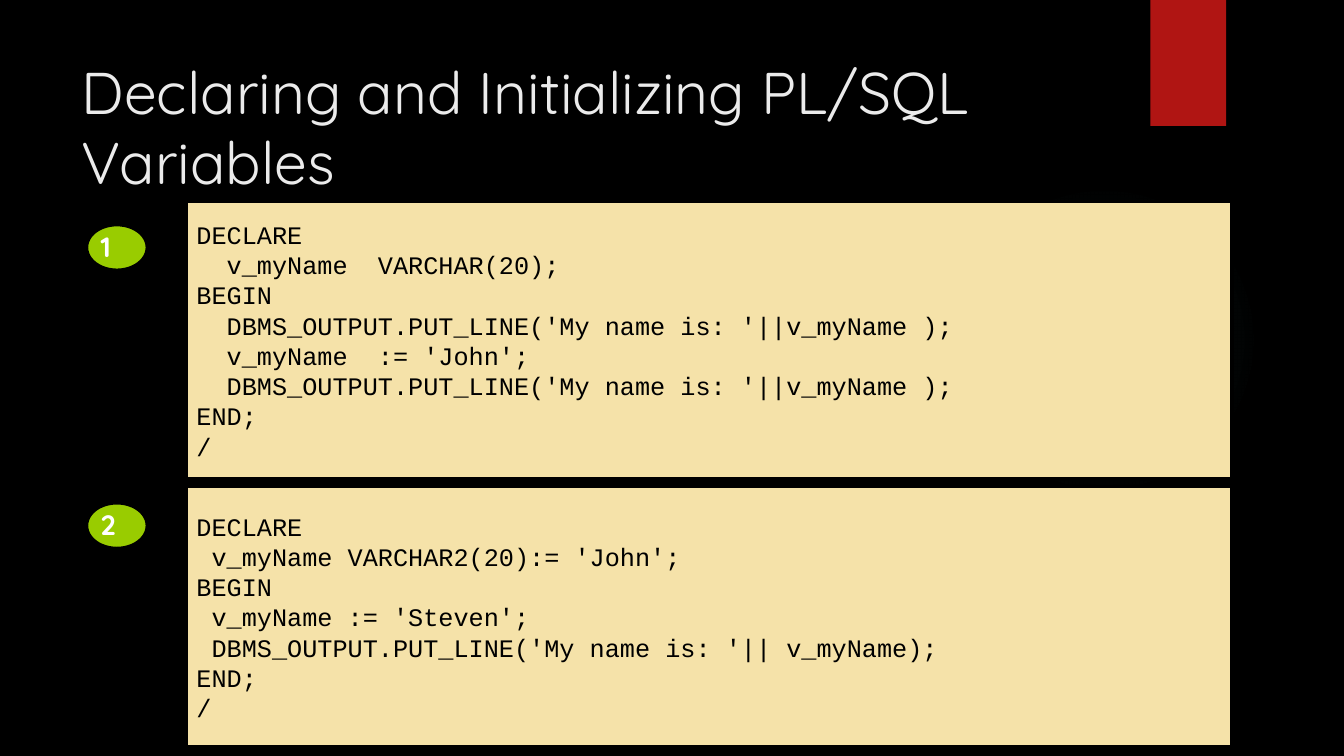
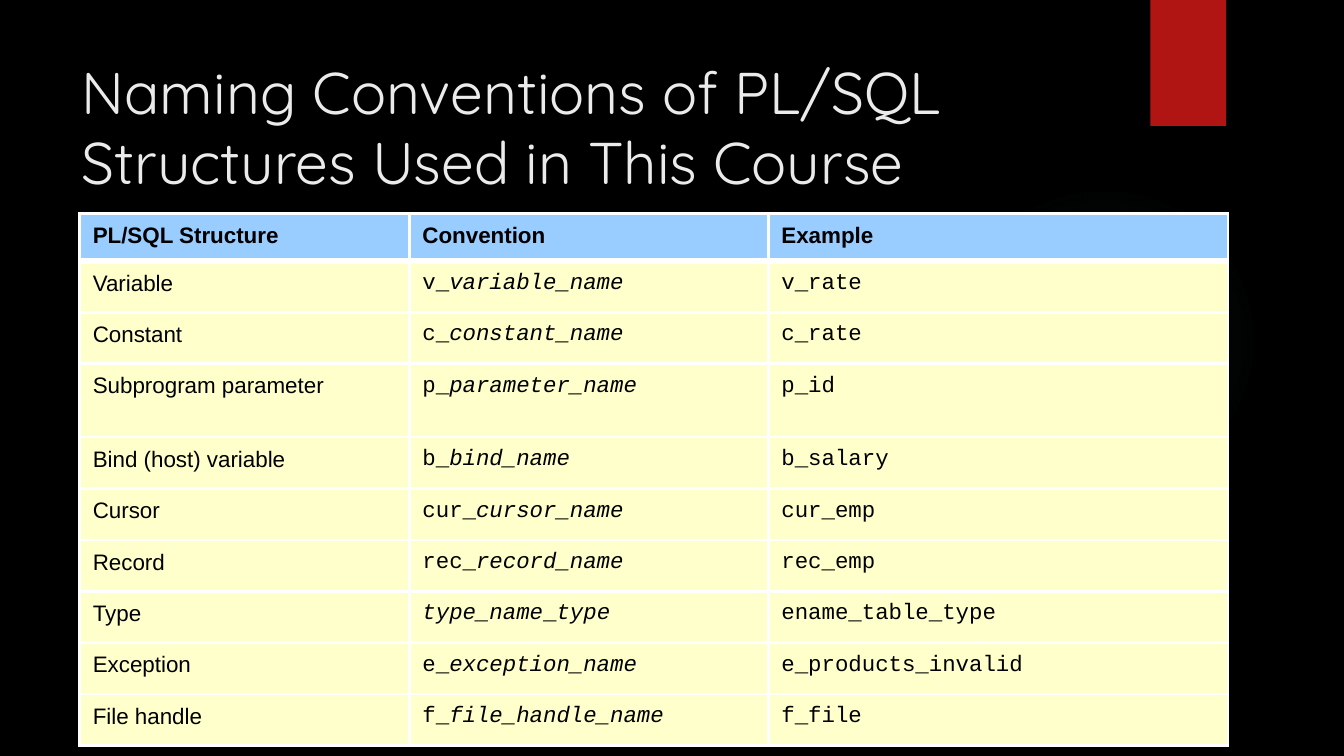
"""Build two slides on declaring and naming PL/SQL variables."""
from dataclasses import dataclass

from pptx import Presentation
from pptx.dml.color import RGBColor
from pptx.enum.shapes import MSO_SHAPE as Shape
from pptx.enum.text import MSO_ANCHOR as Anchor, PP_ALIGN as Align
from pptx.oxml import parse_xml
from pptx.oxml.ns import nsdecls, qn
from pptx.util import Inches, Pt


@dataclass(frozen=True)
class Theme:
    background: str = "000000"
    band: str = "B01513"
    glow: str = "50B9C1"
    title: str = "EBEBEB"
    ink: str = "000000"
    panel: str = "F5E2A9"
    badge: str = "99CC00"
    badge_ink: str = "FFFFFF"
    header: str = "99CCFF"
    body: str = "FFFFCC"
    border: str = "FFFFFF"
    display_font: str = "Quicksand"
    text_font: str = "Arial"
    code_font: str = "Courier New"
    title_size: int = 42
    badge_size: int = 20
    code_size: int = 18
    table_size: int = 16
    line: float = 2.25
    heavy_line: float = 4.5


THEME = Theme()
WIDTH, HEIGHT = Inches(13.33), Inches(7.5)

DECLARED = """DECLARE
  v_myName  VARCHAR(20);
BEGIN
  DBMS_OUTPUT.PUT_LINE('My name is: '||v_myName );
  v_myName  := 'John';
  DBMS_OUTPUT.PUT_LINE('My name is: '||v_myName );
END;
/"""
INITIALIZED = """DECLARE
 v_myName VARCHAR2(20):= 'John';
BEGIN
 v_myName := 'Steven';
 DBMS_OUTPUT.PUT_LINE('My name is: '|| v_myName);
END;
/"""
HEADINGS = ("PL/SQL Structure", "Convention", "Example")
CONVENTIONS = (
    ("Variable", "v_*variable_name*", "v_rate"),
    ("Constant", "c_*constant_name*", "c_rate"),
    ("Subprogram parameter", "p_*parameter_name*", "p_id"),
    ("Bind (host) variable", "b_*bind_name*", "b_salary"),
    ("Cursor", "cur_*cursor_name*", "cur_emp"),
    ("Record", "rec_*record_name*", "rec_emp"),
    ("Type", "*type_name*_*type*", "ename_table_type"),
    ("Exception", "e_*exception_name*", "e_products_invalid"),
    ("File handle", "f_*file_handle_name*", "f_file"),
)
COLUMN_SHARES = (24.53, 26.71, 34.2)
ROW_SHARES = (6, 6.8, 6.8, 9.73) + (6.8,) * 6


def across(share):
    """Turn a percentage of the slide width into a length."""
    return round(WIDTH * share / 100)


def down(share):
    """Turn a percentage of the slide height into a length."""
    return round(HEIGHT * share / 100)


def place(left, top, width, height):
    """Turn four percentages into a position and size."""
    return across(left), down(top), across(width), down(height)


def style(span, font, size, color, bold=False, italic=False):
    """Format one run."""
    span.font.name, span.font.size = font, Pt(size)
    span.font.color.rgb = RGBColor.from_string(color)
    span.font.bold, span.font.italic = bold, italic


def write(frame, text, *look):
    """Fill a text frame and format all of its runs."""
    frame.text = text
    for para in frame.paragraphs:
        para.alignment = Align.LEFT
        for span in para.runs:
            style(span, *look)


def set_insets(holder, side, end):
    """Set the margins of a text frame or cell in inches."""
    holder.margin_left = holder.margin_right = Inches(side)
    holder.margin_top = holder.margin_bottom = Inches(end)


def add_block(page, kind, box, fill, line=None):
    """Add a flat filled shape, with an outline if a colour is given."""
    block = page.shapes.add_shape(kind, *box)
    block.shadow.inherit = False
    block.fill.solid()
    block.fill.fore_color.rgb = RGBColor.from_string(fill)
    if line:
        block.line.color.rgb = RGBColor.from_string(line)
        block.line.width = Pt(THEME.line)
    else:
        block.line.fill.background()
    return block


def add_glow(page):
    """Add the faint round glow behind the content."""
    size = across(23.11)
    glow = add_block(page, Shape.OVAL, (across(70.59), down(24.4), size, size), THEME.glow)
    stops = "".join(
        f'<a:gs pos="{position}000"><a:srgbClr val="{THEME.glow}">'
        f'<a:alpha val="{alpha}000"/></a:srgbClr></a:gs>'
        for position, alpha in ((0, 7), (36, 6), (69, 0))
    )
    gradient = parse_xml(
        f'<a:gradFill {nsdecls("a")}><a:gsLst>{stops}</a:gsLst><a:path path="circle">'
        '<a:fillToRect l="50000" t="50000" r="50000" b="50000"/></a:path></a:gradFill>'
    )
    properties = glow._element.spPr
    properties.replace(properties.find(qn("a:solidFill")), gradient)


def add_page(deck, title):
    """Add a slide with the shared glow, band and title."""
    page = deck.slides.add_slide(deck.slide_layouts[6])
    add_glow(page)
    add_block(page, Shape.RECTANGLE, place(85.6, 0, 5.63, 16.67), THEME.band)
    frame = page.shapes.add_textbox(*place(5.33, 6.67, 77.19, 20.4)).text_frame
    frame.word_wrap = True
    write(frame, title, THEME.display_font, THEME.title_size, THEME.title)
    return page


def add_code(page, top, height, code):
    """Add a code panel."""
    box = place(13.88, top, 77.79, height)
    frame = add_block(page, Shape.RECTANGLE, box, THEME.panel, THEME.ink).text_frame
    frame.word_wrap, frame.vertical_anchor = True, Anchor.MIDDLE
    set_insets(frame, 0.1, 0.01)
    write(frame, code, THEME.code_font, THEME.code_size, THEME.ink)


def add_badge(page, top, number):
    """Add a numbered oval beside a code panel."""
    box = place(6.45, top, 4.5, 6)
    frame = add_block(page, Shape.OVAL, box, THEME.badge, THEME.ink).text_frame
    frame.word_wrap, frame.vertical_anchor = False, Anchor.MIDDLE
    set_insets(frame, 0.05, 0.05)
    write(frame, str(number), THEME.display_font, THEME.badge_size, THEME.badge_ink, True)
    frame.paragraphs[0].line_spacing = 0.95


def set_borders(cell, top, bottom):
    """Draw the four borders of a cell, with point widths above and below."""
    properties = cell._tc.get_or_add_tcPr()
    sides = {"L": THEME.line, "R": THEME.line, "T": top, "B": bottom}
    for index, (side, width) in enumerate(sides.items()):
        properties.insert(index, parse_xml(
            f'<a:ln{side} {nsdecls("a")} w="{Pt(width)}"><a:solidFill>'
            f'<a:srgbClr val="{THEME.border}"/></a:solidFill></a:ln{side}>'
        ))


def fill_cell(cell, marked, font, fill, bold):
    """Write a cell, setting the parts between asterisks in italics."""
    cell.fill.solid()
    cell.fill.fore_color.rgb = RGBColor.from_string(fill)
    cell.vertical_anchor = Anchor.TOP
    set_insets(cell, 0.13, 0.1)
    para = cell.text_frame.paragraphs[0]
    for index, part in enumerate(marked.split("*")):
        if part:
            span = para.add_run()
            span.text = part
            style(span, font, THEME.table_size, THEME.ink, bold, index % 2 == 1)


def add_conventions(page):
    """Add the table of naming conventions."""
    rows = (HEADINGS, *CONVENTIONS)
    box = place(5.93, 28.27, sum(COLUMN_SHARES), sum(ROW_SHARES))
    table = page.shapes.add_table(len(rows), len(HEADINGS), *box).table
    table.horz_banding = False
    for column, share in zip(table.columns, COLUMN_SHARES):
        column.width = across(share)
    for number, (texts, share) in enumerate(zip(rows, ROW_SHARES)):
        table.rows[number].height = down(share)
        heading = number == 0
        fill = THEME.header if heading else THEME.body
        top = THEME.heavy_line if number == 1 else THEME.line
        bottom = THEME.heavy_line if heading else THEME.line
        for place_in_row, text in enumerate(texts):
            plain = heading or place_in_row == 0
            font = THEME.text_font if plain else THEME.code_font
            cell = table.cell(number, place_in_row)
            fill_cell(cell, text, font, fill, heading)
            set_borders(cell, top, bottom)


def main():
    """Build and save the deck."""
    deck = Presentation()
    deck.slide_width, deck.slide_height = WIDTH, HEIGHT
    backdrop = deck.slide_master.background.fill
    backdrop.solid()
    backdrop.fore_color.rgb = RGBColor.from_string(THEME.background)

    page = add_page(deck, "Declaring and Initializing PL/SQL Variables")
    add_code(page, 26.67, 36.67, DECLARED)
    add_code(page, 64.4, 34.4, INITIALIZED)
    for number, top in enumerate((29.73, 66.53), start=1):
        add_badge(page, top, number)

    page = add_page(deck, "Naming Conventions of PL/SQL\vStructures Used in This Course")
    add_conventions(page)
    deck.save("out.pptx")


if __name__ == "__main__":
    main()
